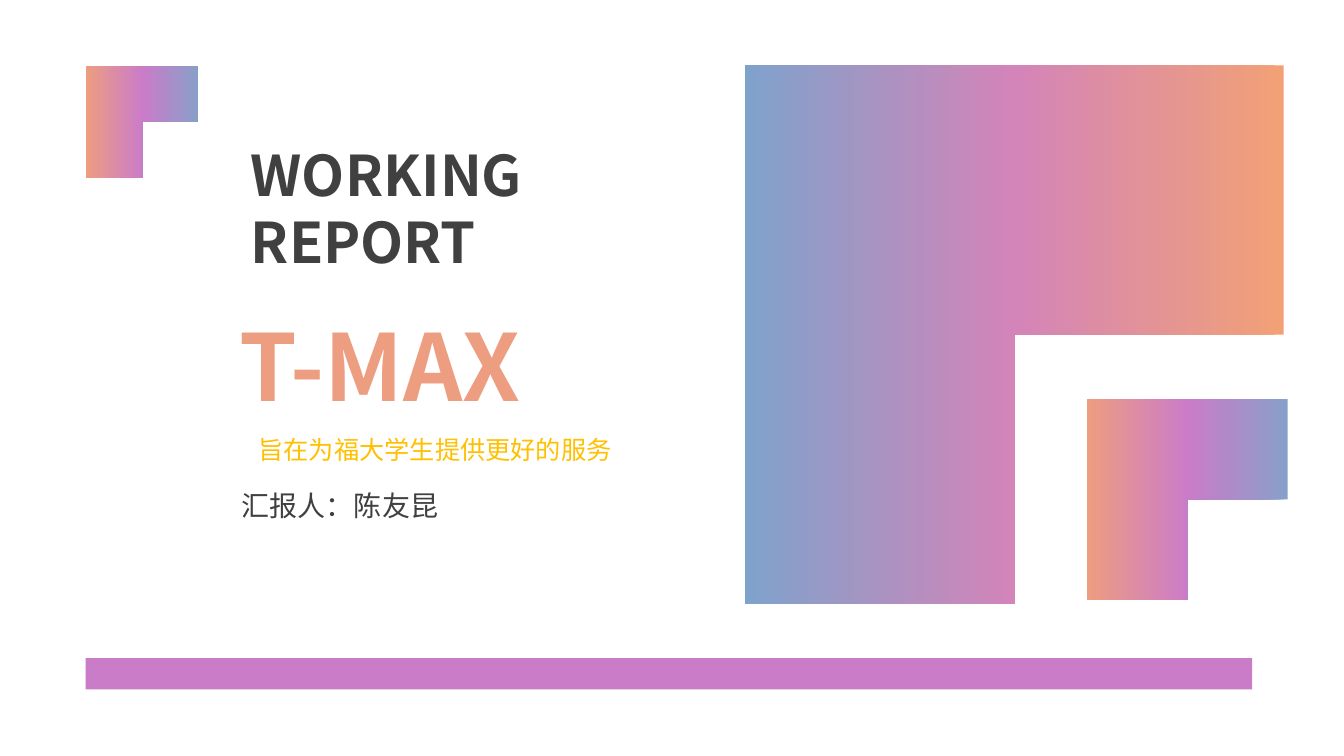
import pptx
import pptx.util
import pptx.dml.color
import pptx.enum.shapes
import pptx.enum.text
import pptx.oxml.ns
import copy

Inches = pptx.util.Inches
Pt = pptx.util.Pt
ALIGN = pptx.enum.text.PP_ALIGN
qn = pptx.oxml.ns.qn

FACE = "Noto Sans CJK SC"
DARK, PEACH, ORCHID, GOLD = "404040", "ED9D80", "CB7CC8", "FFC000"
SMALL = ["889FC9", ORCHID, PEACH]
LARGE = ["F2A176", "D384B8", "7FA2CB"]


def color(code):
    return pptx.dml.color.RGBColor.from_string(code)


def paint(fill, root, shades, angle):
    if isinstance(shades, str):
        fill.solid()
        fill.fore_color.rgb = color(shades)
        return
    fill.gradient()
    fill.gradient_angle = 360 - angle
    stops = root.find(".//" + qn("a:gsLst"))
    while len(stops) < len(shades):
        stops.append(copy.deepcopy(stops[0]))
    for place, (stop, shade) in enumerate(zip(fill.gradient_stops, shades)):
        stop.position = place / (len(shades) - 1)
        stop.color.rgb = color(shade)


def block(slide, box, shades):
    kind = pptx.enum.shapes.MSO_SHAPE.RECTANGLE
    shape = slide.shapes.add_shape(kind, *map(Inches, box))
    shape.shadow.inherit = False
    shape.line.fill.background()
    paint(shape.fill, shape.element.spPr, shades, 90)
    return shape


def corner(slide, left, top, side, shades):
    shape = block(slide, (left, top, side, side), shades)
    shape.rotation = 90
    shape.element.spPr.find(qn("a:prstGeom")).set("prst", "corner")


def label(slide, box, lines, shades, size, align=ALIGN.LEFT, bold=False):
    frame = slide.shapes.add_textbox(*map(Inches, box)).text_frame
    frame.word_wrap = True
    frame.auto_size = pptx.enum.text.MSO_AUTO_SIZE.SHAPE_TO_FIT_TEXT
    frame.text = "\n".join(lines)
    style = {"name": FACE, "size": Pt(size), "bold": bold}
    for para in frame.paragraphs:
        para.alignment = align
        para.line_spacing = Pt(size * 1.2)
        for run in para.runs:
            for key, value in style.items():
                setattr(run.font, key, value)
            props = run.font._element
            paint(run.font.fill, props, shades, 131)
            east = props.makeelement(qn("a:ea"), {"typeface": FACE})
            props.find(qn("a:latin")).addnext(east)


def main():
    deck = pptx.Presentation()
    deck.slide_width, deck.slide_height = Inches(13.33), Inches(7.5)
    slide = deck.slides.add_slide(deck.slide_layouts[6])
    corner(slide, 7.39, 0.65, 5.34, LARGE)
    label(slide, (2.39, 1.34, 3.35, 1.45), ["WORKING", "REPORT"], DARK, 40,
          bold=True)
    corner(slide, 0.85, 0.65, 1.12, SMALL)
    label(slide, (2.28, 3.02, 4.07, 1.21), ["T-MAX"], [PEACH, ORCHID], 66,
          ALIGN.JUSTIFY, True)
    label(slide, (2.28, 4.26, 4.07, 0.4), ["旨在为福大学生提供更好的服务"],
          GOLD, 18, ALIGN.CENTER)
    label(slide, (2.3, 4.8, 4.04, 0.44), ["汇报人：陈友昆"], DARK, 20,
          ALIGN.JUSTIFY)
    corner(slide, 10.78, 3.96, 1.99, SMALL)
    block(slide, (0.85, 6.53, 11.57, 0.31), ORCHID)
    deck.save("out.pptx")


if __name__ == "__main__":
    main()
